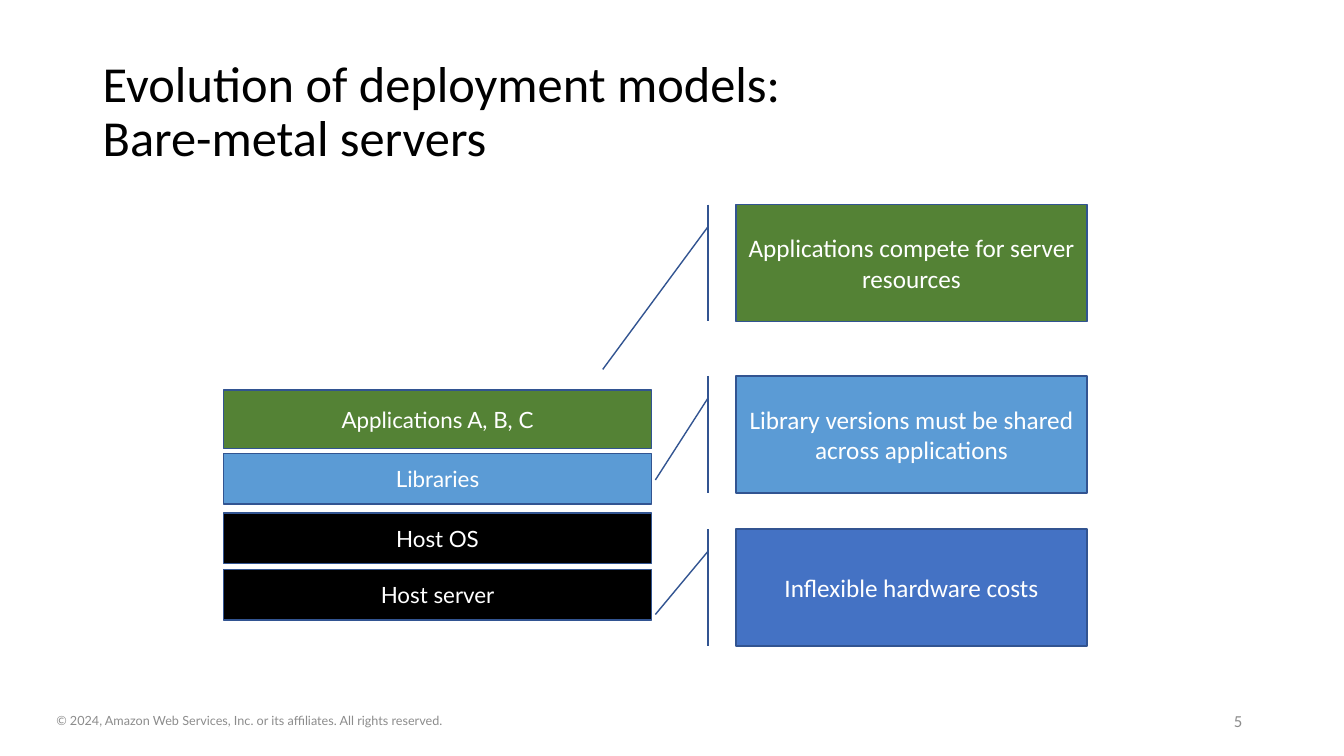
from dataclasses import dataclass

from pptx import Presentation
from pptx.dml.color import RGBColor
from pptx.enum.shapes import MSO_SHAPE
from pptx.enum.text import MSO_ANCHOR, PP_ALIGN
from pptx.shapes.autoshape import Shape
from pptx.slide import Slide
from pptx.util import Inches, Pt

RECT = MSO_SHAPE.RECTANGLE
CALLOUT = MSO_SHAPE.LINE_CALLOUT_1_BORDER_AND_ACCENT_BAR
MIDDLE = MSO_ANCHOR.MIDDLE
LEFT, CENTER, RIGHT = PP_ALIGN.LEFT, PP_ALIGN.CENTER, PP_ALIGN.RIGHT

BLACK, WHITE, GRAY = "000000", "FFFFFF", "8C8C8C"
GREEN, SKY, BLUE, OUTLINE = "548235", "5B9BD5", "4472C4", "325491"


@dataclass
class Layer:
    text: str
    top: float
    height: float
    fill: str


@dataclass
class Callout:
    text: str
    top: float
    fill: str
    tip_y: float
    tip_x: float


LAYERS = [
    Layer("Host server", 5.65, 0.5, BLACK),
    Layer("Host OS", 5.09, 0.5, BLACK),
    Layer("Libraries", 4.5, 0.5, SKY),
    Layer("Applications A, B, C", 3.87, 0.58, GREEN),
]
CALLOUTS = [
    Callout("Applications compete for server resources", 2.03, GREEN, 1.41, -0.38),
    Callout("Library versions must be shared across applications", 3.73, SKY, 0.89, -0.23),
    Callout("Inflexible hardware costs", 5.25, BLUE, 0.73, -0.23),
]


def rgb(color: str) -> RGBColor:
    return RGBColor.from_string(color)


def write(sp: Shape, text: str, *, size: float, font: str = "Calibri",
          color: str = WHITE, align: PP_ALIGN = CENTER, spacing: float = 1.0) -> None:
    tf = sp.text_frame
    tf.word_wrap = True
    tf.vertical_anchor = MIDDLE
    p = tf.paragraphs[0]
    p.text = text
    p.alignment = align
    p.line_spacing = spacing
    for r in p.runs:
        r.font.size = Pt(size)
        r.font.name = font
        r.font.color.rgb = rgb(color)


def add_box(s: Slide, kind: MSO_SHAPE, left: float, top: float,
            width: float, height: float, fill: str) -> Shape:
    sp = s.shapes.add_shape(kind, Inches(left), Inches(top), Inches(width), Inches(height))
    sp.shadow.inherit = False
    sp.fill.solid()
    sp.fill.fore_color.rgb = rgb(fill)
    sp.line.color.rgb = rgb(OUTLINE)
    sp.line.width = Pt(1)
    return sp


def add_text(s: Slide, left: float, top: float, width: float, height: float) -> Shape:
    return s.shapes.add_textbox(Inches(left), Inches(top), Inches(width), Inches(height))


def add_layer(s: Slide, layer: Layer) -> None:
    sp = add_box(s, RECT, 2.22, layer.top, 4.24, layer.height, layer.fill)
    write(sp, layer.text, size=16, font="Lato")


def add_callout(s: Slide, callout: Callout) -> None:
    sp = add_box(s, CALLOUT, 7.3, callout.top, 3.48, 1.16, callout.fill)
    for i, value in enumerate((0.19, -0.08, callout.tip_y, callout.tip_x)):
        sp.adjustments[i] = value
    write(sp, callout.text, size=18)


def main() -> None:
    prs = Presentation()
    prs.slide_width, prs.slide_height = Inches(13.33), Inches(7.5)
    s = prs.slides.add_slide(prs.slide_layouts[6])

    title = add_text(s, 0.92, 0.4, 11.5, 1.45)
    write(title, "Evolution of deployment models: \vBare-metal servers",
          size=36, color=BLACK, align=LEFT, spacing=0.9)
    for layer in LAYERS:
        add_layer(s, layer)
    for callout in CALLOUTS:
        add_callout(s, callout)
    footer = add_text(s, 0.46, 6.95, 4.09, 0.4)
    write(footer, "© 2024, Amazon Web Services, Inc. or its affiliates. All rights reserved.",
          size=9, font="Lato", color=GRAY, align=LEFT)
    number = add_text(s, 9.42, 6.95, 3, 0.4)
    write(number, "5", size=12, color=GRAY, align=RIGHT)

    prs.save("out.pptx")


if __name__ == "__main__":
    main()
